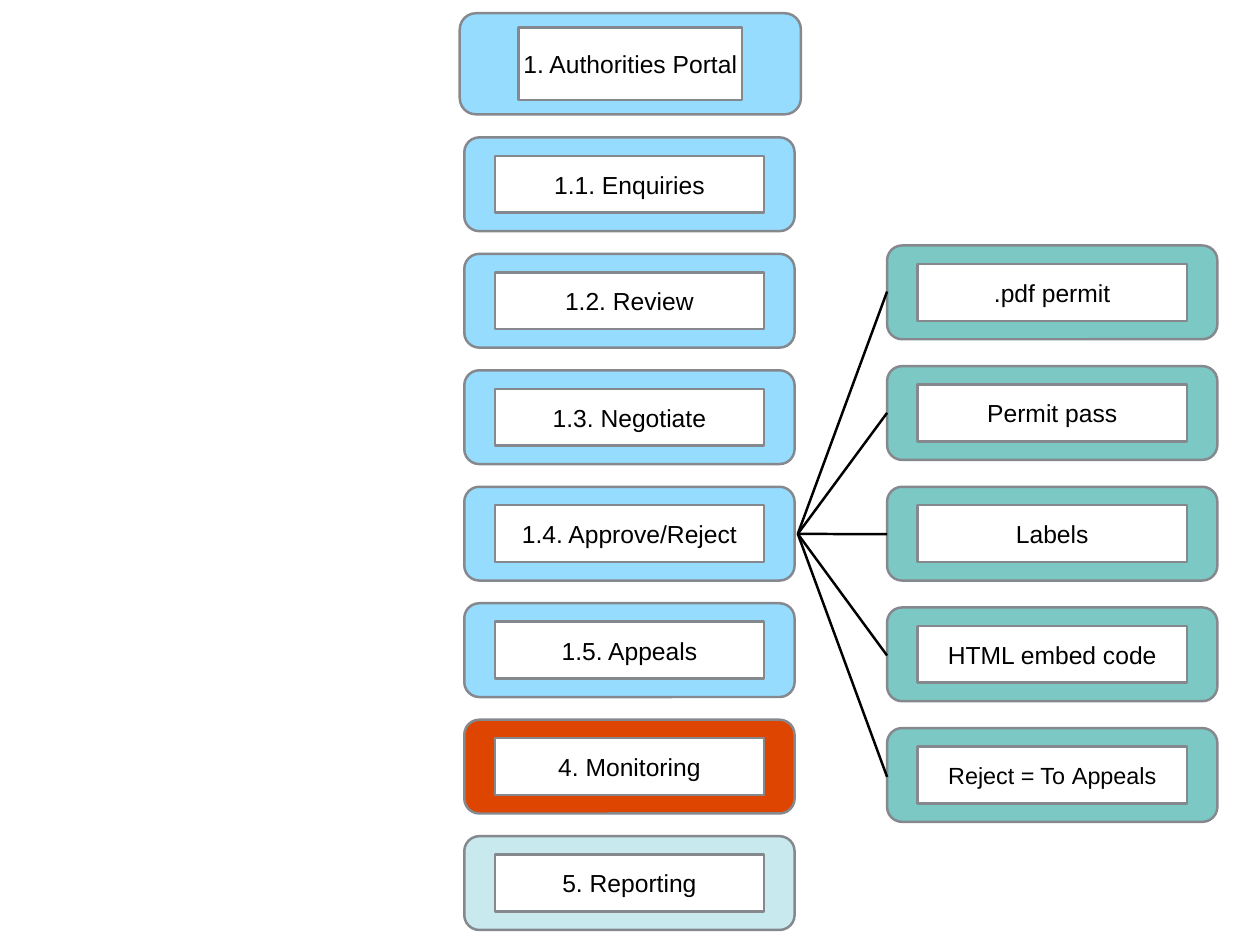
from lxml import etree
from pptx import Presentation
from pptx.dml.color import RGBColor
from pptx.enum import shapes, text
from pptx.oxml import ns
from pptx.util import Cm, Pt

BLUE = RGBColor(0x95, 0xDC, 0xFF)
TEAL = RGBColor(0x7B, 0xC8, 0xC5)
RED = RGBColor(0xDE, 0x45, 0x00)
PALE = RGBColor(0xC8, 0xEA, 0xEE)
GREY = RGBColor(0x85, 0x88, 0x8D)
WHITE = RGBColor(0xFF, 0xFF, 0xFF)
BLACK = RGBColor(0x00, 0x00, 0x00)

# Content: each label is a list of (words, size)
TITLE = [("1. Authorities Portal", 20)]
STEPS = [
    ([("1.1. Enquiries", 20)], BLUE),
    ([("1.2. Review", 20)], BLUE),
    ([("1.3. Negotiate", 20)], BLUE),
    ([("1.4. Approve/Reject", 20)], BLUE),
    ([("1.5. Appeals", 20)], BLUE),
    ([("4. Monitoring", 20)], RED),
    ([("5. Reporting", 20)], PALE),
]
RESULTS = [
    [(".pdf permit", 20)],
    [("Permit pass", 20)],
    [("Labels", 20)],
    [("HTML embed code", 20)],
    [("Reject = To", 19), (" ", 20), ("Appeals", 19)],
]

# Layout in cm
OUTER, INNER = (9.47, 2.69), (7.72, 1.63)
STEP_X, STEP_Y, STEP_GAP = 13.31, 3.94, 3.34
RES_X, RES_Y, RES_GAP = 25.43, 7.04, 3.46
HUB = (22.87, 15.31)
TIP_Y, TIP_GAP = 8.36, 3.48

deck = Presentation()
deck.slide_width, deck.slide_height = Cm(36.12), Cm(27.1)
slide = deck.slides.add_slide(deck.slide_layouts[6])


def block(kind, x, y, size, fill):
    shape = slide.shapes.add_shape(kind, Cm(x), Cm(y), *map(Cm, size))
    shape.shadow.inherit = False
    shape.fill.solid()
    shape.fill.fore_color.rgb = fill
    shape.line.color.rgb = GREY
    shape.line.width = Pt(2)
    return shape


def card(label, x, y, fill, outer=OUTER, inner=INNER):
    """A rounded frame with a white label centred in it."""
    frame = block(shapes.MSO_SHAPE.ROUNDED_RECTANGLE, x, y, outer, fill)
    frame.adjustments[0] = 0.16
    left, top = ((o - i) / 2 for o, i in zip(outer, inner))
    plate = block(shapes.MSO_SHAPE.RECTANGLE, x + left, y + top, inner, WHITE)
    body = plate.text_frame
    body.word_wrap = True
    body.vertical_anchor = text.MSO_ANCHOR.MIDDLE
    body.margin_left = body.margin_right = Cm(0.08)
    body.margin_top = body.margin_bottom = Cm(0.08)
    para = body.paragraphs[0]
    para.alignment = text.PP_ALIGN.CENTER
    for words, size in label:
        run = para.add_run()
        run.text = words
        run.font.name = "Arial"
        run.font.size = Pt(size)
        run.font.color.rgb = BLACK


def link(x, y):
    line = slide.shapes.add_connector(
        shapes.MSO_CONNECTOR.STRAIGHT, *map(Cm, (*HUB, x, y)))
    line.line.color.rgb = BLACK
    line.line.width = Pt(2)
    etree.SubElement(line._element.spPr, ns.qn("a:effectLst"))


# Left column
card(TITLE, 13.18, 0.38, BLUE, (9.78, 2.9), (6.4, 2.08))
for row, (label, fill) in enumerate(STEPS):
    card(label, STEP_X, STEP_Y + row * STEP_GAP, fill)

# Right column, fanned out from step 1.4
for row, label in enumerate(RESULTS):
    card(label, RES_X, RES_Y + row * RES_GAP, TEAL)
for row in range(len(RESULTS)):
    link(RES_X, TIP_Y + row * TIP_GAP)

deck.save("out.pptx")
